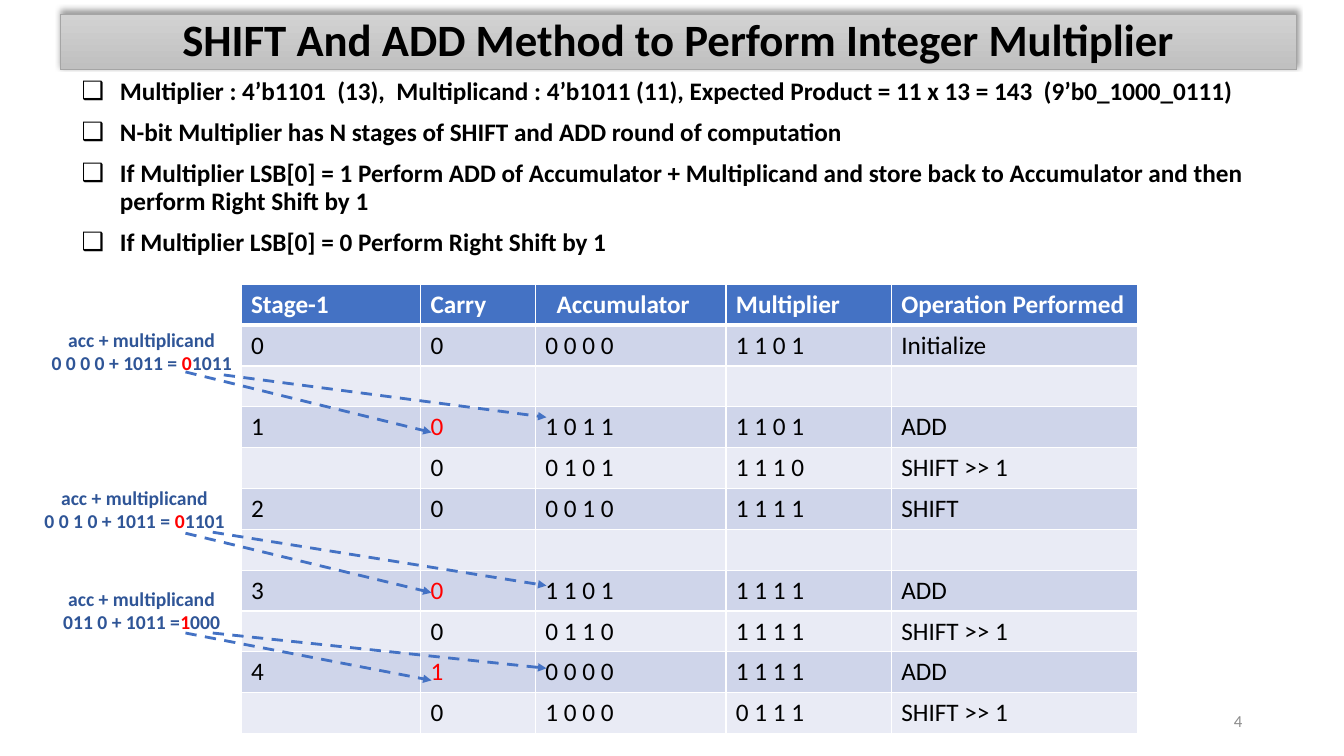
from dataclasses import dataclass

from lxml.etree import SubElement
from pptx import Presentation
from pptx.dml.color import RGBColor
from pptx.enum.dml import MSO_LINE_DASH_STYLE as DASH
from pptx.enum.shapes import MSO_CONNECTOR as CONNECTOR
from pptx.enum.text import MSO_ANCHOR as ANCHOR
from pptx.enum.text import MSO_AUTO_SIZE as AUTO_SIZE
from pptx.enum.text import PP_ALIGN as ALIGN
from pptx.oxml.ns import qn
from pptx.util import Inches, Pt


@dataclass(frozen=True)
class Theme:
    font: str = "Calibri"
    title_size: int = 32
    text_size: int = 18
    note_size: int = 14
    number_size: int = 12
    black: str = "000000"
    white: str = "FFFFFF"
    red: str = "FF0000"
    blue: str = "4472C4"
    note_blue: str = "2F5597"
    gray: str = "8C8C8C"
    title_top: str = "D2D2D2"
    title_bottom: str = "C0C0C0"
    title_line: str = "A5A5A5"
    bands: tuple = ("CFD5EA", "E9EBF5")


THEME = Theme()
TITLE = "SHIFT And ADD Method to Perform Integer Multiplier"
BULLETS = [
    "Multiplier : 4’b1101  (13),  Multiplicand : 4’b1011 (11), "
    "Expected Product = 11 x 13 = 143  (9’b0_1000_0111)",
    "N-bit Multiplier has N stages of SHIFT and ADD round of computation",
    "If Multiplier LSB[0] = 1 Perform ADD of Accumulator + Multiplicand "
    "and store back to Accumulator and then perform Right Shift by 1",
    "If Multiplier LSB[0] = 0 Perform Right Shift by 1",
]
COLUMN_WIDTHS = [1.78, 1.14, 1.89, 1.64, 2.44]
HEADER = ["Stage-1", "Carry", "Accumulator", "Multiplier", "Operation Performed"]
BLANK = [""] * len(HEADER)
STAGES = [
    ["0", "0", "0 0 0 0", "1 1 0 1", "Initialize"],
    BLANK,
    ["1", "0", "1 0 1 1", "1 1 0 1", "ADD"],
    ["", "0", "0 1 0 1", "1 1 1 0", "SHIFT >> 1"],
    ["2", "0", "0 0 1 0", "1 1 1 1", "SHIFT"],
    BLANK,
    ["3", "0", "1 1 0 1", "1 1 1 1", "ADD"],
    ["", "0", "0 1 1 0", "1 1 1 1", "SHIFT >> 1"],
    ["4", "1", "0 0 0 0", "1 1 1 1", "ADD"],
    ["", "0", "1 0 0 0", "0 1 1 1", "SHIFT >> 1"],
]
# Each addition: note box, sum, carry, low bits, carry arrow, accumulator arrow
ADDITIONS = [
    ((0.28, 3.2, 2.25, 0.57), "0 0 0 0 + 1011 = ", "0", "1011",
     (1.84, 3.69, 4.28, 4.29), (2.22, 3.72, 5.42, 4.14)),
    ((0.25, 4.77, 2.17, 0.57), "0 0 1 0 + 1011 = ", "0", "1101",
     (1.84, 5.29, 4.28, 5.88), (2.11, 5.28, 5.42, 5.81)),
    ((0.32, 5.77, 2.17, 0.57), "011 0 + 1011 =", "1", "000",
     (1.84, 6.28, 4.28, 6.75), (2.11, 6.28, 5.42, 6.63)),
]


def rgb(value):
    return RGBColor.from_string(value)


def inches(values):
    return [Inches(value) for value in values]


def write(para, text, size=THEME.text_size, color=THEME.black, bold=False, align=None):
    span = para.add_run()
    span.text = text
    span.font.name = THEME.font
    span.font.size = Pt(size)
    span.font.bold = bold
    span.font.color.rgb = rgb(color)
    if align is not None:
        para.alignment = align


def place(shape, *bounds):
    shape.left, shape.top, shape.width, shape.height = inches(bounds)


def add_solid(parent, color):
    fill = SubElement(parent, qn("a:solidFill"))
    return SubElement(fill, qn("a:srgbClr"), val=color)


def format_title(title):
    place(title, 0.6, 0.14, 12.26, 0.55)
    title.text_frame.vertical_anchor = ANCHOR.MIDDLE
    para = title.text_frame.paragraphs[0]
    para.line_spacing = 0.9
    write(para, TITLE, size=THEME.title_size, bold=True, align=ALIGN.CENTER)
    # Gray gradient with a thin outline
    title.fill.gradient()
    title.fill.gradient_angle = 270
    for stop, color in zip(title.fill.gradient_stops,
                           (THEME.title_top, THEME.title_bottom)):
        stop.color.rgb = rgb(color)
    title.line.color.rgb = rgb(THEME.title_line)
    title.line.width = Pt(0.5)
    # Soft shadow above the bar
    title.shadow.inherit = False
    effects = title._element.spPr.find(qn("a:effectLst"))
    shadow = SubElement(effects, qn("a:outerShdw"), blurRad=str(Pt(4)),
                        dist=str(Pt(3)), dir=str(270 * 60000), rotWithShape="0")
    black = SubElement(shadow, qn("a:srgbClr"), val=THEME.black)
    SubElement(black, qn("a:alpha"), val="40000")


def fill_bullets(body):
    place(body, 0.71, 0.73, 12.26, 1.86)
    frame = body.text_frame
    frame.auto_size = AUTO_SIZE.NONE
    for index, text in enumerate(BULLETS):
        para = frame.add_paragraph() if index else frame.paragraphs[0]
        para.line_spacing = 0.9
        para.space_before = Pt(10)
        write(para, text, bold=True)
        properties = para._p.get_or_add_pPr()
        properties.set("marL", str(Inches(0.38)))
        properties.set("indent", str(-Inches(0.38)))
        SubElement(properties, qn("a:buChar"), char="❑")


def format_cell(cell, color, top=1, bottom=1):
    properties = cell._tc.get_or_add_tcPr()
    for side, width in (("L", 1), ("R", 1), ("T", top), ("B", bottom)):
        border = SubElement(properties, qn(f"a:ln{side}"), w=str(Pt(width)))
        add_solid(border, THEME.white)
    cell.fill.solid()
    cell.fill.fore_color.rgb = rgb(color)


def add_stage_table(slide):
    rows = [HEADER] + STAGES
    table = slide.shapes.add_table(
        len(rows), len(HEADER), *inches((2.39, 2.82, 8.89, 4.46))).table
    for column, width in zip(table.columns, COLUMN_WIDTHS):
        column.width = Inches(width)
    for row, texts in enumerate(rows):
        is_header = row == 0
        for column, text in enumerate(texts):
            cell = table.cell(row, column)
            format_cell(cell, THEME.blue if is_header else THEME.bands[(row - 1) % 2],
                        top=3 if row == 1 else 1, bottom=3 if is_header else 1)
            color = THEME.white if is_header else THEME.black
            if column == HEADER.index("Carry") and texts[-1] == "ADD":
                color = THEME.red
            if text:
                write(cell.text_frame.paragraphs[0], text, color=color, bold=is_header)
    table.cell(0, HEADER.index("Accumulator")).margin_left = Inches(0.21)


def add_text_box(slide, *bounds):
    box = slide.shapes.add_textbox(*inches(bounds))
    box.text_frame.word_wrap = True
    return box.text_frame


def add_note(slide, bounds, total, carry, low_bits):
    frame = add_text_box(slide, *bounds)
    frame.auto_size = AUTO_SIZE.SHAPE_TO_FIT_TEXT
    look = dict(size=THEME.note_size, bold=True, align=ALIGN.CENTER)
    write(frame.paragraphs[0], "acc + multiplicand", color=THEME.note_blue, **look)
    para = frame.add_paragraph()
    for text, color in ((total, THEME.note_blue), (carry, THEME.red),
                        (low_bits, THEME.note_blue)):
        write(para, text, color=color, **look)


def add_arrow(slide, *ends):
    arrow = slide.shapes.add_connector(CONNECTOR.STRAIGHT, *inches(ends))
    arrow.line.color.rgb = rgb(THEME.blue)
    arrow.line.width = Pt(2)
    arrow.line.dash_style = DASH.DASH
    SubElement(arrow.line._get_or_add_ln(), qn("a:tailEnd"), type="triangle")
    SubElement(arrow._element.spPr, qn("a:effectLst"))


def main():
    deck = Presentation()
    deck.slide_width, deck.slide_height = inches((13.33, 7.5))
    slide = deck.slides.add_slide(deck.slide_layouts[1])

    # Title and rules
    format_title(slide.shapes.title)
    fill_bullets(slide.placeholders[1])

    # Slide number
    number = add_text_box(slide, 9.42, 6.95, 3, 0.4)
    number.vertical_anchor = ANCHOR.MIDDLE
    write(number.paragraphs[0], "4", size=THEME.number_size, color=THEME.gray,
          align=ALIGN.RIGHT)

    # Stages with the additions that feed them
    add_stage_table(slide)
    for bounds, total, carry, low_bits, carry_arrow, sum_arrow in ADDITIONS:
        add_note(slide, bounds, total, carry, low_bits)
        add_arrow(slide, *carry_arrow)
        add_arrow(slide, *sum_arrow)

    deck.save("out.pptx")


main()
